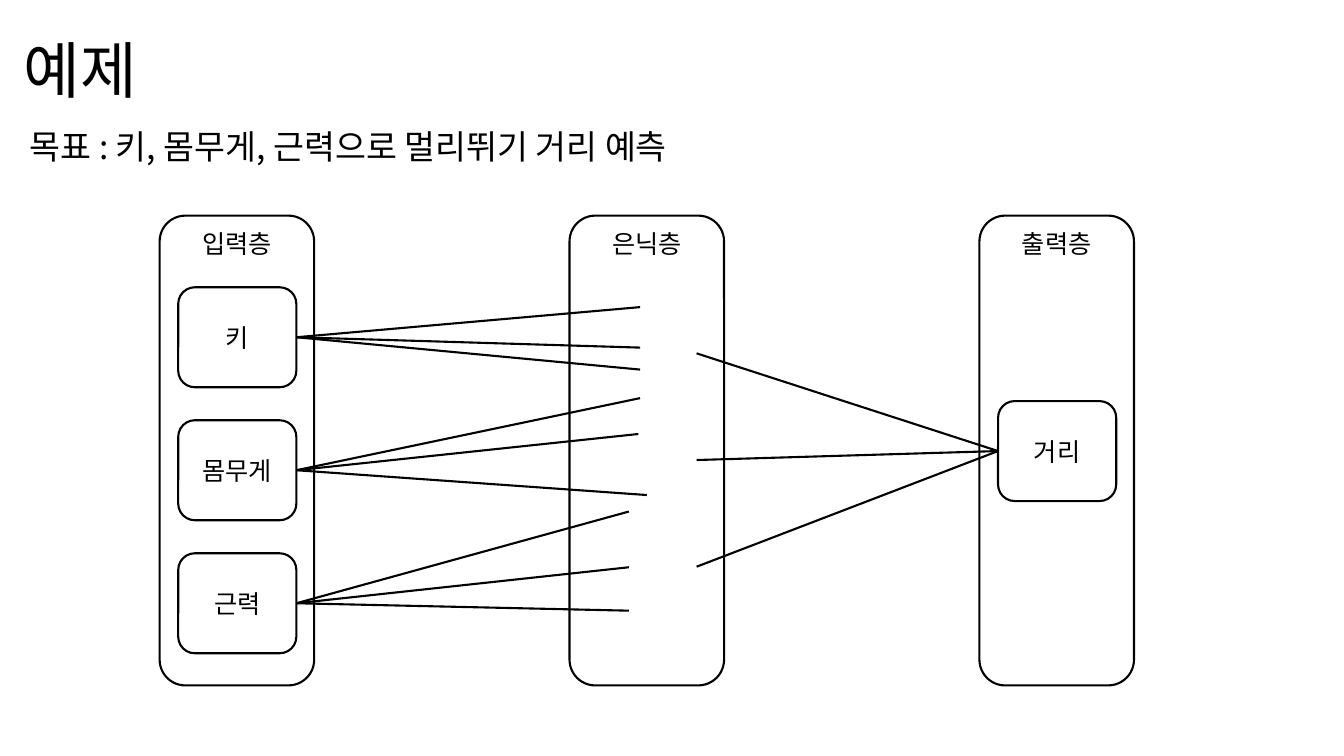
from pptx import Presentation
from pptx.enum.shapes import MSO_CONNECTOR, MSO_SHAPE
from pptx.enum.text import MSO_ANCHOR, MSO_AUTO_SIZE, PP_ALIGN
from pptx.dml.color import RGBColor
from pptx.oxml.ns import qn
from pptx.util import Pt

LINE = MSO_CONNECTOR.STRAIGHT
ROUND = MSO_SHAPE.ROUNDED_RECTANGLE
TOP, MIDDLE = MSO_ANCHOR.TOP, MSO_ANCHOR.MIDDLE
LEFT, CENTER = PP_ALIGN.LEFT, PP_ALIGN.CENTER
FONT = "Noto Sans CJK KR"
COLORS = {name: RGBColor.from_string(code) for name, code in
          {"ink": "000000", "paper": "FFFFFF"}.items()}


def write(frame, text, size, align, anchor):
    frame.vertical_anchor = anchor
    par = frame.paragraphs[0]
    par.alignment = align
    run = par.add_run()
    run.text = text
    run.font.size = Pt(size)
    run.font.name = FONT
    run.font.color.rgb = COLORS["ink"]
    east = run.font._element.makeelement(qn("a:ea"), {"typeface": FONT})
    run.font._element.append(east)
    return par


def add_box(parent, text, left, top, width, height, anchor):
    box = parent.add_shape(ROUND, Pt(left), Pt(top), Pt(width), Pt(height))
    box.shadow.inherit = False
    box.fill.solid()
    box.fill.fore_color.rgb = COLORS["paper"]
    box.line.color.rgb = COLORS["ink"]
    box.line.width = Pt(1.5)
    write(box.text_frame, text, 18, CENTER, anchor)
    return box


deck = Presentation()
deck.slide_width, deck.slide_height = Pt(960), Pt(540)
slide = deck.slides.add_slide(deck.slide_layouts[5])
shapes = slide.shapes

# Heading and goal
title = shapes.title
title.left, title.top, title.width, title.height = Pt(9.5), Pt(0), Pt(828), Pt(104.4)
write(title.text_frame, "예제", 44, LEFT, MIDDLE).line_spacing = 0.9

goal = shapes.add_textbox(Pt(14.1), Pt(86.4), Pt(527), Pt(36.3))
goal.text_frame.word_wrap = False
goal.text_frame.auto_size = MSO_AUTO_SIZE.SHAPE_TO_FIT_TEXT
write(goal.text_frame, "목표 : 키, 몸무게, 근력으로 멀리뛰기 거리 예측", 24, LEFT, TOP)

# Layers: column index, name, nodes, top of the first node
layers = [
    (1, "은닉층", [], 0),
    (0, "입력층", ["키", "몸무게", "근력"], 205.2),
    (2, "출력층", ["거리"], 286.5),
]
nodes = {}
for col, name, labels, first in layers:
    left = 114 + 292.8 * col
    parent = shapes.add_group_shape().shapes if labels else shapes
    add_box(parent, name, left, 154, 110.4, 335.6, TOP)
    for row, label in enumerate(labels):
        nodes[label] = add_box(parent, label, left + 13.3, first + 95 * row,
                               84.4, 71.4, MIDDLE)

# Links: node, its joined side, free ends in the hidden layer
links = [
    ("키", 3, [(457.2, 219.4), (457.2, 248.3), (457.2, 264)]),
    ("몸무게", 3, [(457.2, 284.4), (456, 310), (462, 353.6)]),
    ("근력", 3, [(449.2, 365.4), (449.2, 405.2), (449.2, 436.2)]),
    ("거리", 1, [(497.6, 252.4), (497.6, 328.6), (497.6, 404.8)]),
]
for label, side, ends in links:
    for x, y in ends:
        link = shapes.add_connector(LINE, Pt(x), Pt(y), Pt(x), Pt(y))
        link.end_connect(nodes[label], side)
        link.line.color.rgb = COLORS["ink"]
        link.line.width = Pt(1.5)
        props = link._element.spPr
        props.append(props.makeelement(qn("a:effectLst"), {}))

deck.save("out.pptx")
